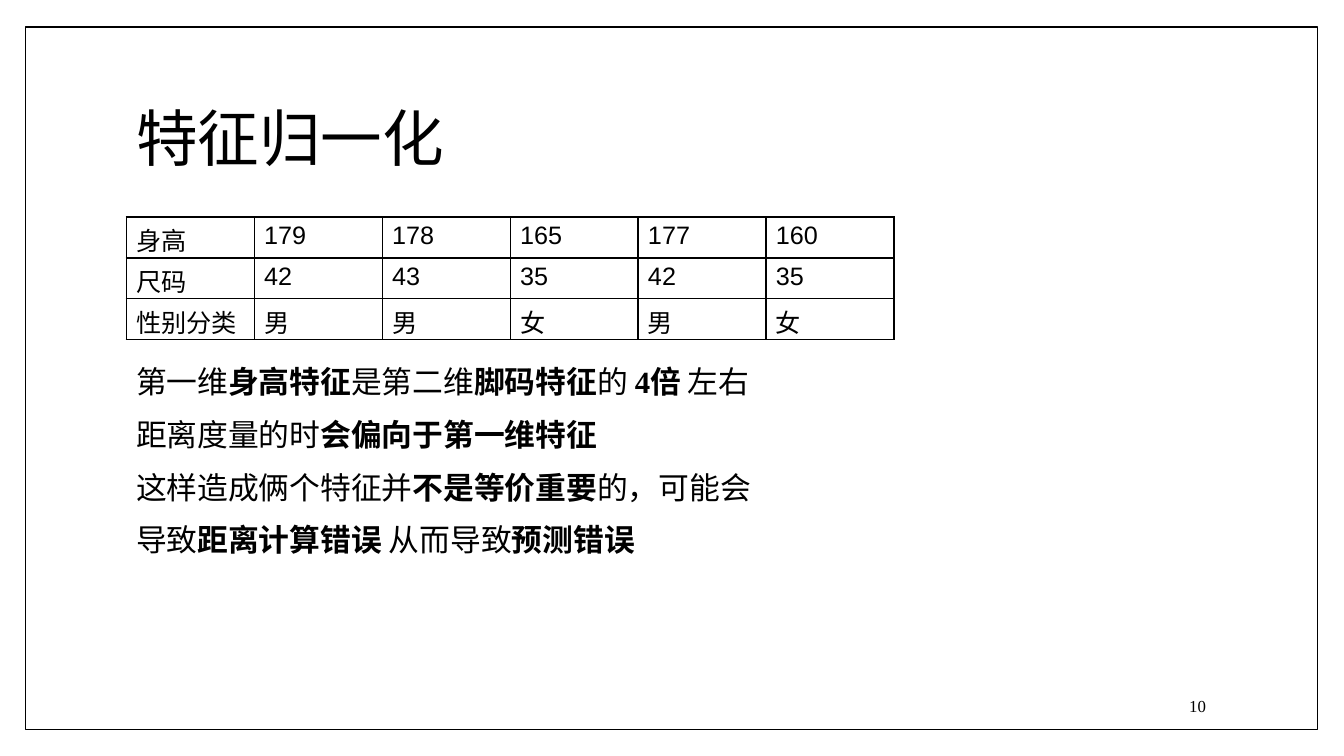
from lxml.etree import SubElement
from pptx import Presentation
from pptx.dml.color import RGBColor
from pptx.enum.shapes import MSO_SHAPE
from pptx.oxml.ns import qn
from pptx.util import Cm, Pt

BLACK = RGBColor(0, 0, 0)
CJK, SANS, SERIF = "Noto Sans CJK SC", "Arial", "Times New Roman"


def add_span(para, text, size, font=CJK, bold=False):
    span = para.add_run()
    span.text = text
    span.font.size = Pt(size)
    span.font.bold = bold
    span.font.color.rgb = BLACK
    span.font.name = font
    SubElement(span.font._element, qn("a:ea")).set("typeface", font)


def add_box(left, top, width, height):
    frame = page.shapes.add_textbox(Cm(left), Cm(top), Cm(width), Cm(height)).text_frame
    frame.word_wrap = True
    frame.margin_left = frame.margin_right = frame.margin_bottom = 0
    frame.margin_top = Cm(0.03)
    return frame


deck = Presentation()
deck.slide_width, deck.slide_height = Cm(33.87), Cm(19.05)
page = deck.slides.add_slide(deck.slide_layouts[6])

# Page frame
border = page.shapes.add_shape(MSO_SHAPE.RECTANGLE, Cm(0.64), Cm(0.68), Cm(32.56), Cm(17.71))
border.shadow.inherit = False
border.fill.background()
border.line.color.rgb = BLACK
border.line.width = Pt(0.96)

# Title
title = add_box(3.43, 2.49, 7.85, 1.93)
add_span(title.paragraphs[0], "特征归一化", 44)

# Page number
number = add_box(29.97, 17.55, 0.8, 0.53)
number.margin_top = 0
number.paragraphs[0].line_spacing = Pt(14.1)
add_span(number.paragraphs[0], "10", 12, SERIF)

# Explanation: each span is text, bold, font
explanation = [
    [("第一维", False, CJK), ("身高特征", True, CJK), ("是第二维", False, CJK),
     ("脚码特征", True, CJK), ("的 ", False, CJK), ("4", True, SERIF),
     ("倍 ", True, CJK), ("左右 距离度量的时", False, CJK),
     ("会偏向于第一维特征", True, CJK)],
    [("这样造成俩个特征并", False, CJK), ("不是等价重要", True, CJK),
     ("的，可能会导致", False, CJK), ("距离计算错误 ", True, CJK),
     ("从而导致", False, CJK), ("预测错误", True, CJK)],
]
body = add_box(3.43, 8.71, 21.95, 5.41)
for index, spans in enumerate(explanation):
    para = body.paragraphs[0] if index == 0 else body.add_paragraph()
    para.line_spacing = 1.43
    for text, bold, font in spans:
        add_span(para, text, 22, font, bold)
# The first paragraph wraps earlier than the second
body.paragraphs[0]._p.get_or_add_pPr().set("marR", str(Cm(6.4)))

# Feature table
rows = [
    ["身高", "179", "178", "165", "177", "160"],
    ["尺码", "42", "43", "35", "42", "35"],
    ["性别分类", "男", "男", "女", "男", "女"],
]
table = page.shapes.add_table(
    len(rows), len(rows[0]), Cm(3.18), Cm(5.47), Cm(19.35), Cm(3.08)).table
table.first_row = table.horz_banding = False
for column in table.columns:
    column.width = Cm(3.225)
for row_index, texts in enumerate(rows):
    table.rows[row_index].height = Cm(1.03)
    for column_index, text in enumerate(texts):
        cell = table.cell(row_index, column_index)
        cell.margin_left, cell.margin_top = Cm(0.25), Cm(0.11)
        cell.margin_right = cell.margin_bottom = 0
        para = cell.text_frame.paragraphs[0]
        para.space_before = Pt(3)
        add_span(para, text, 18, SANS if text.isdigit() else CJK)
        # Cell borders come before the fill
        properties = cell._tc.get_or_add_tcPr()
        for side in ("lnL", "lnR", "lnT", "lnB"):
            edge = SubElement(properties, qn(f"a:{side}"), w=str(Pt(1)))
            paint = SubElement(edge, qn("a:solidFill"))
            SubElement(paint, qn("a:srgbClr"), val=str(BLACK))
        cell.fill.background()

deck.save("out.pptx")
